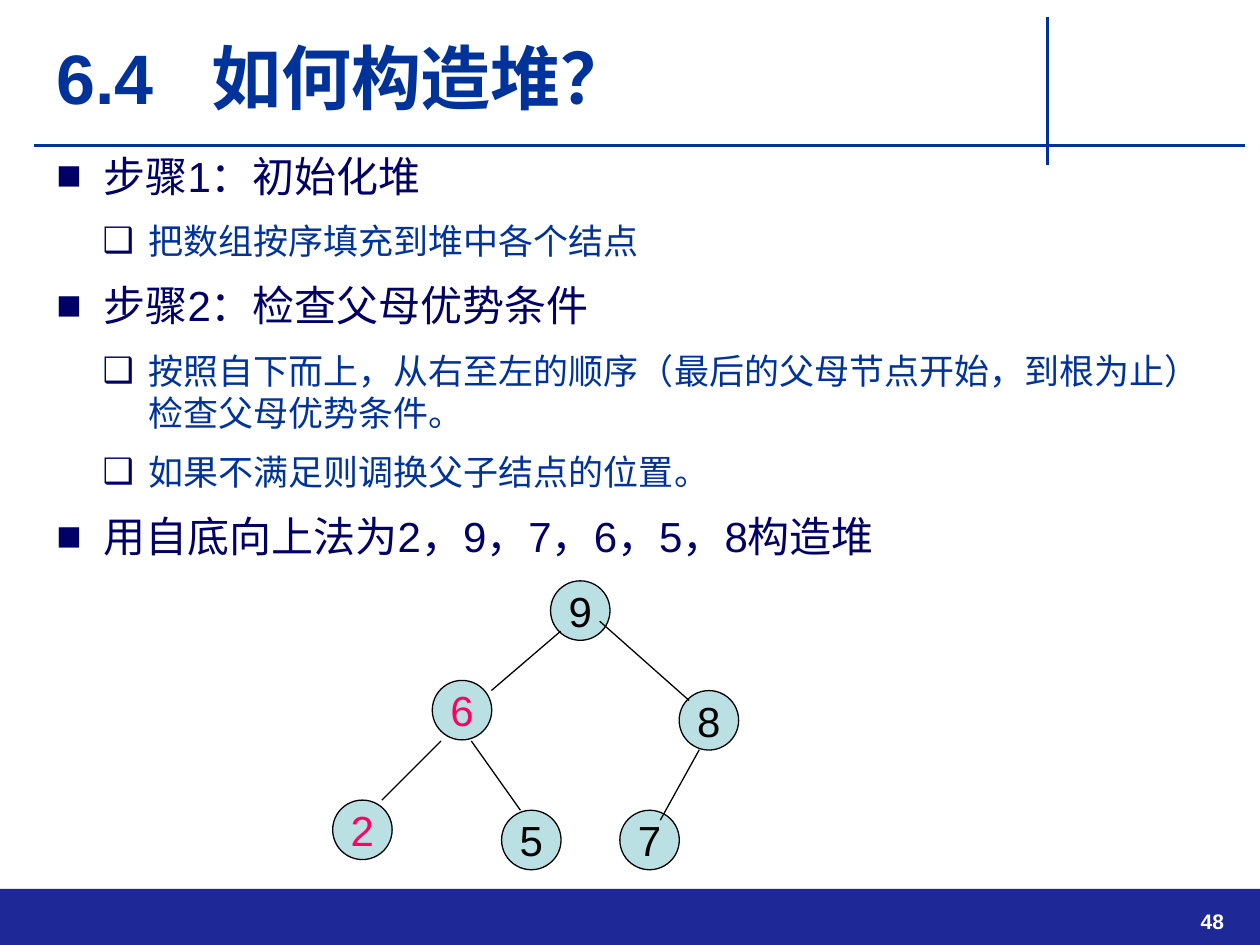
from lxml.etree import SubElement
from pptx import Presentation
from pptx.dml.color import RGBColor
from pptx.enum.shapes import MSO_CONNECTOR, MSO_SHAPE
from pptx.enum.text import MSO_ANCHOR, MSO_AUTO_SIZE, PP_ALIGN
from pptx.oxml.ns import qn
from pptx.util import Pt

NAVY, BLUE, BLACK, PINK = "000066", "003399", "000000", "FF0066"
STEPS = [
    (0, "步骤1：初始化堆"),
    (1, "把数组按序填充到堆中各个结点"),
    (0, "步骤2：检查父母优势条件"),
    (1, "按照自下而上，从右至左的顺序（最后的父母节点开始，到根为止）检查父母优势条件。"),
    (1, "如果不满足则调换父子结点的位置。"),
    (0, "用自底向上法为2，9，7，6，5，8构造堆"),
]
LEVELS = [
    dict(size=24, color=NAVY, gap=6, leading=28, margin=27, hang=27, bullet="■"),
    dict(size=20, color=BLUE, gap=5, leading=24, margin=52.5, hang=26, bullet="❑"),
]
NODES = [
    ("9", 314.6, 331.9, BLACK),
    ("6", 247, 388.8, PINK),
    ("8", 388.1, 394.6, BLACK),
    ("2", 190.1, 457.2, PINK),
    ("5", 286.6, 463, BLACK),
    ("7", 354.2, 463, BLACK),
]
EDGES = [
    (320.4, 360.7, 280.8, 394.6),
    (252, 423.4, 218.2, 457.2),
    (269.3, 423.4, 297.4, 463),
    (342.7, 355, 393.8, 400.3),
    (399.6, 428.4, 377.3, 468.7),
]


def rgb(value):
    """Turn a hex string into a colour."""
    return RGBColor.from_string(value)


def write(paragraph, text, size=24, color=BLACK, bold=False, align=PP_ALIGN.LEFT):
    """Write formatted text into a paragraph."""
    run = paragraph.add_run()
    run.text = text
    run.font.name = "Arial"
    run.font.size = Pt(size)
    run.font.bold = bold
    run.font.color.rgb = rgb(color)
    paragraph.alignment = align


class HeapSlide:
    """Hold the shared style and the current slide."""

    font_color = BLUE
    bar_color = "1E2896"
    node_color = "BBE0E3"
    diameter = 34

    def __init__(self, deck):
        """Add a slide with title and body to the deck."""
        self.slide = deck.slides.add_slide(deck.slide_layouts[1])

    def place(self, holder, left, top, width, height, anchor):
        """Position a text holder and return its frame."""
        holder.left, holder.top = Pt(left), Pt(top)
        holder.width, holder.height = Pt(width), Pt(height)
        frame = holder.text_frame
        frame.auto_size = MSO_AUTO_SIZE.NONE
        frame.word_wrap = True
        frame.vertical_anchor = anchor
        return frame

    def title(self, number, heading):
        """Fill the title, with a tab between number and heading."""
        frame = self.place(self.slide.shapes.title, 25, 15, 561, 57, MSO_ANCHOR.MIDDLE)
        paragraph = frame.paragraphs[0]
        tabs = SubElement(paragraph._p.get_or_add_pPr(), qn("a:tabLst"))
        SubElement(tabs, qn("a:tab"), pos=str(Pt(88.5)), algn="l")
        write(paragraph, f"{number}\t{heading}", size=40, color=self.font_color, bold=True)

    def body(self, steps):
        """Fill the body with a two-level list."""
        frame = self.place(self.slide.placeholders[1], 25, 83, 680.5, 408, MSO_ANCHOR.TOP)
        for index, (level, text) in enumerate(steps):
            look = LEVELS[level]
            paragraph = frame.add_paragraph() if index else frame.paragraphs[0]
            paragraph.level = level
            properties = paragraph._p.get_or_add_pPr()
            properties.set("marL", str(Pt(look["margin"])))
            properties.set("indent", str(-Pt(look["hang"])))
            bullet_color = SubElement(properties, qn("a:buClr"))
            SubElement(bullet_color, qn("a:srgbClr"), val=NAVY)
            SubElement(properties, qn("a:buFont"), typeface="Arial")
            SubElement(properties, qn("a:buChar"), char=look["bullet"])
            paragraph.line_spacing = Pt(look["leading"])
            paragraph.space_before = Pt(look["gap"] if index else 0)
            paragraph.space_after = Pt(look["gap"])
            write(paragraph, text, size=look["size"], color=look["color"])

    def line(self, x1, y1, x2, y2, color=BLACK, weight=0.75):
        """Draw a straight line."""
        ends = [Pt(value) for value in (x1, y1, x2, y2)]
        line = self.slide.shapes.add_connector(MSO_CONNECTOR.STRAIGHT, *ends)
        line.line.color.rgb = rgb(color)
        line.line.width = Pt(weight)
        SubElement(line._element.spPr, qn("a:effectLst"))

    def shape(self, kind, left, top, width, height, fill):
        """Draw a filled shape without a shadow."""
        shape = self.slide.shapes.add_shape(kind, Pt(left), Pt(top), Pt(width), Pt(height))
        shape.shadow.inherit = False
        shape.fill.solid()
        shape.fill.fore_color.rgb = rgb(fill)
        return shape

    def bar(self):
        """Draw the footer bar."""
        bar = self.shape(MSO_SHAPE.RECTANGLE, 0, 508, 720, 32, self.bar_color)
        bar.line.fill.background()

    def node(self, key, left, top, color):
        """Draw a tree node with its key."""
        node = self.shape(MSO_SHAPE.OVAL, left, top, self.diameter, self.diameter, self.node_color)
        node.line.color.rgb = rgb(BLACK)
        node.line.width = Pt(0.75)
        frame = node.text_frame
        frame.word_wrap = False
        frame.vertical_anchor = MSO_ANCHOR.MIDDLE
        write(frame.paragraphs[0], key, color=color, align=PP_ALIGN.CENTER)

    def page_number(self, number):
        """Write the page number on the footer bar."""
        holder = self.slide.shapes.add_textbox(0, 0, 0, 0)
        frame = self.place(holder, 643.5, 515, 63, 23, MSO_ANCHOR.MIDDLE)
        write(frame.paragraphs[0], number, size=12, color="FFFFFF", bold=True, align=PP_ALIGN.RIGHT)


def main():
    """Build and save the slide."""
    deck = Presentation()
    deck.slide_width, deck.slide_height = Pt(720), Pt(540)
    heap = HeapSlide(deck)
    heap.bar()
    heap.line(19.5, 83, 711.5, 83, color=BLUE, weight=1.5)
    heap.line(598.5, 9.5, 598.5, 94.5, color=BLUE, weight=1.5)
    heap.page_number("48")
    heap.title("6.4", "如何构造堆？")
    heap.body(STEPS)
    for node in NODES:
        heap.node(*node)
    for edge in EDGES:
        heap.line(*edge)
    deck.save("out.pptx")


if __name__ == "__main__":
    main()
